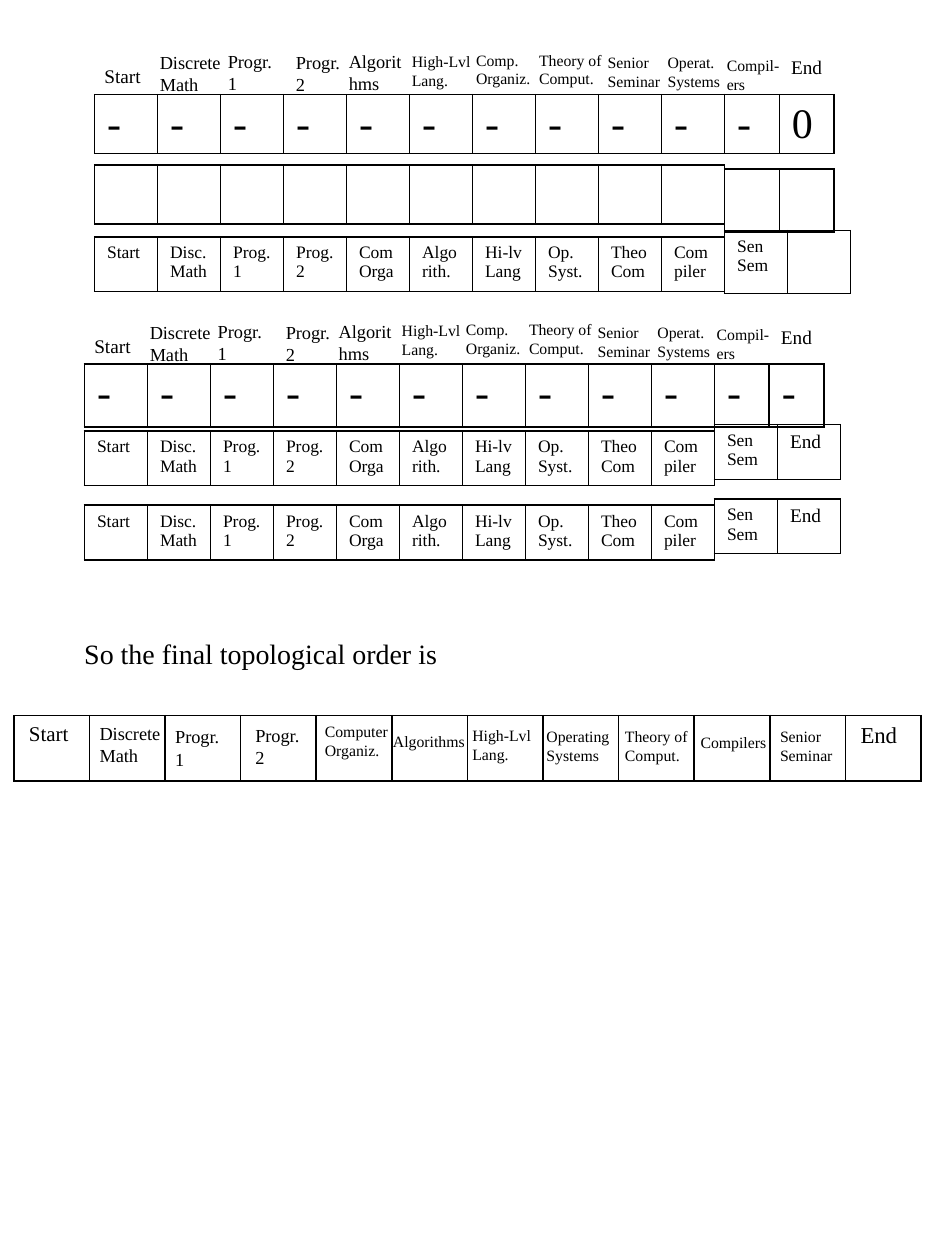
import pptx
import pptx.dml.color
import pptx.oxml
import pptx.oxml.ns
import pptx.util
from pptx.util import Inches, Pt

BLACK = pptx.dml.color.RGBColor(0, 0, 0)
FONT = "Times New Roman"
COL = 0.5
FINAL_COL = 0.6

COURSES = ["Start", "Disc.\nMath", "Prog.\n1", "Prog.\n2", "Com\nOrga",
           "Algorith.", "Hi-lv\nLang", "Op.\nSyst.", "Theo\nCom", "Compiler"]
SENIOR = "Sen\nSem"

# text, column, row, width in columns, size
HEADINGS = [
    ("Start", -0.04, -0.58, 1.66, 11),
    ("Discrete Math", 0.84, -0.78, 1.84, 10.5),
    ("Progr.\n1", 1.92, -0.8, 1.26, 10.5),
    ("Progr.\n2", 3, -0.78, 1.26, 10.5),
    ("Algorithms", 3.84, -0.8, 1.26, 10.5),
    ("High-Lvl\nLang.", 4.84, -0.78, 1.34, 9),
    ("Comp.\nOrganiz.", 5.86, -0.8, 1.34, 9),
    ("Theory of\nComput.", 6.86, -0.8, 1.56, 9),
    ("Senior\nSeminar", 7.95, -0.76, 1.34, 9),
    ("Operat.\nSystems", 8.9, -0.76, 1.34, 9),
    ("Compil-ers", 9.84, -0.72, 1.34, 9),
    ("End", 10.86, -0.72, 0.92, 11),
]
FINAL_NAMES = [
    ("Discrete Math", 0.97, 0, 1.53, 10.5),
    ("Progr.\n1", 1.97, 0.05, 1.03, 10.5),
    ("Progr.\n2", 3.03, 0.03, 1.03, 10.5),
    ("Computer\nOrganiz.", 3.95, 0, 1.35, 9),
    ("Algorithms", 4.85, 0.13, 1.35, 9),
    ("High-Lvl\nLang.", 5.9, 0.05, 1.12, 9),
    ("Operating\nSystems", 6.88, 0.07, 1.2, 9),
    ("Theory of\nComput.", 7.92, 0.07, 1.3, 9),
    ("Compilers", 8.92, 0.15, 1.35, 9),
    ("Senior\nSeminar", 9.97, 0.07, 1.12, 9),
]


def write(tf, text, size):
    """Fill a text frame and set the font of its paragraphs."""
    tf.text = text
    for p in tf.paragraphs:
        p.font.name, p.font.size = FONT, Pt(size)
        p.font.color.rgb = BLACK


def add_border(cell):
    """Draw a thin black line on the four sides of a cell."""
    tc_pr = cell._tc.get_or_add_tcPr()
    for side in ("lnL", "lnR", "lnT", "lnB"):
        tc_pr.append(pptx.oxml.parse_xml(
            f'<a:{side} {pptx.oxml.ns.nsdecls("a")} w="12700"><a:solidFill>'
            f'<a:srgbClr val="{BLACK}"/></a:solidFill></a:{side}>'))


def add_strip(s, left, top, width, height, texts, sizes, margins=(0.1, 0.05)):
    """Add a one-row table of equal columns."""
    count = len(texts)
    table = s.shapes.add_table(1, count, Inches(left), Inches(top),
                               Inches(width * count), Inches(height)).table
    table.first_row = table.horz_banding = False
    for cell, text, size in zip(table.iter_cells(), texts, sizes):
        cell.margin_left = cell.margin_right = Inches(margins[0])
        cell.margin_top = cell.margin_bottom = Inches(margins[1])
        add_border(cell)
        cell.fill.background()
        if text:
            write(cell.text_frame, text, size)


def add_label(s, left, top, width, text, size):
    """Add a wrapping text box at a point."""
    height = 0.1 + 0.016 * size * (text.count("\n") + 1)
    tf = s.shapes.add_textbox(Inches(left), Inches(top),
                              Inches(width), Inches(height)).text_frame
    tf.word_wrap = True
    write(tf, text, size)


def add_labels(s, left, top, unit, labels):
    """Place labels on a grid that starts at the given corner."""
    for text, col, row, width, size in labels:
        add_label(s, left + col * unit, top + row * unit, width * unit, text, size)


def add_counts(s, left, top, height, last):
    """Add the named row of predecessor counts."""
    add_strip(s, left, top, COL, height, ["-"] * 10, [24] * 10)
    add_strip(s, left + 10 * COL, top, 0.87 * COL, height, ["-", last], [24] * 2)
    add_labels(s, left, top, COL, HEADINGS)


def add_order(s, left, top, lift, tail_height, end):
    """Add a row of ordered courses with its raised tail."""
    add_strip(s, left, top, COL, 0.42, COURSES, [10] * 10)
    add_strip(s, left + 10 * COL, top - lift, COL, tail_height, [SENIOR, end], [10, 11])


def add_final(s, left, top):
    """Add the closing sentence and the final order."""
    add_label(s, left + 0.46, top - 0.68, 5.02, "So the final topological order is", 16)
    for first, texts in ((0, ["Start"] + [""] * 9), (10, ["", "End"])):
        add_strip(s, left + first * FINAL_COL, top, FINAL_COL, 0.52, texts,
                  [12] * 10 if first == 0 else [13] * 2, (0.12, 0.06))
    add_labels(s, left, top, FINAL_COL, FINAL_NAMES)


def main():
    """Build the slide and save it."""
    prs = pptx.Presentation()
    prs.slide_width, prs.slide_height = Inches(7.5), Inches(10)
    s = prs.slides.add_slide(prs.slide_layouts[6])
    add_counts(s, 0.75, 0.75, 0.47, "0")
    add_strip(s, 0.75, 1.31, COL, 0.47, [""] * 10, [10] * 10)
    add_strip(s, 5.75, 1.34, 0.87 * COL, 0.5, [""] * 2, [10] * 2)
    add_order(s, 0.75, 1.88, 0.05, 0.5, "")
    add_counts(s, 0.67, 2.89, 0.5, "-")
    for top in (3.42, 4.01):
        add_order(s, 0.67, top, 0.05, 0.43, "End")
    add_final(s, 0.11, 5.68)
    prs.save("out.pptx")


if __name__ == "__main__":
    main()
